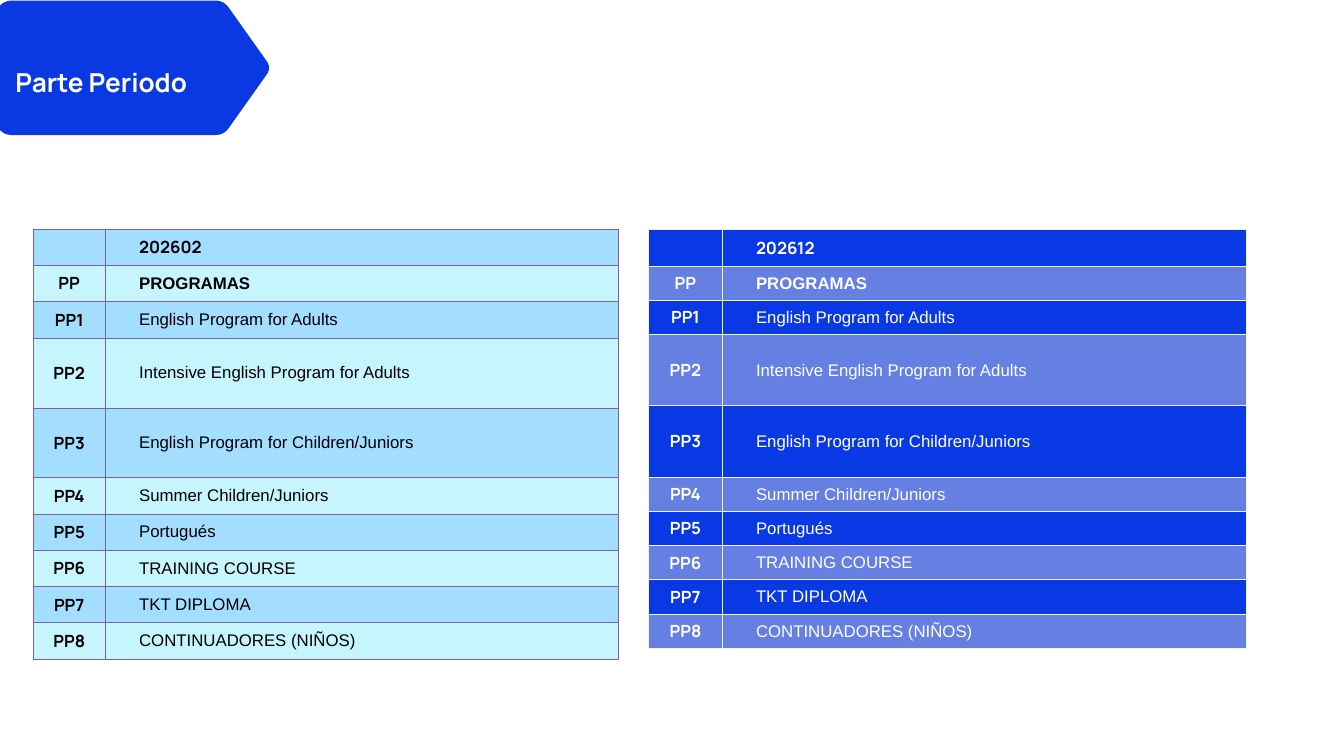
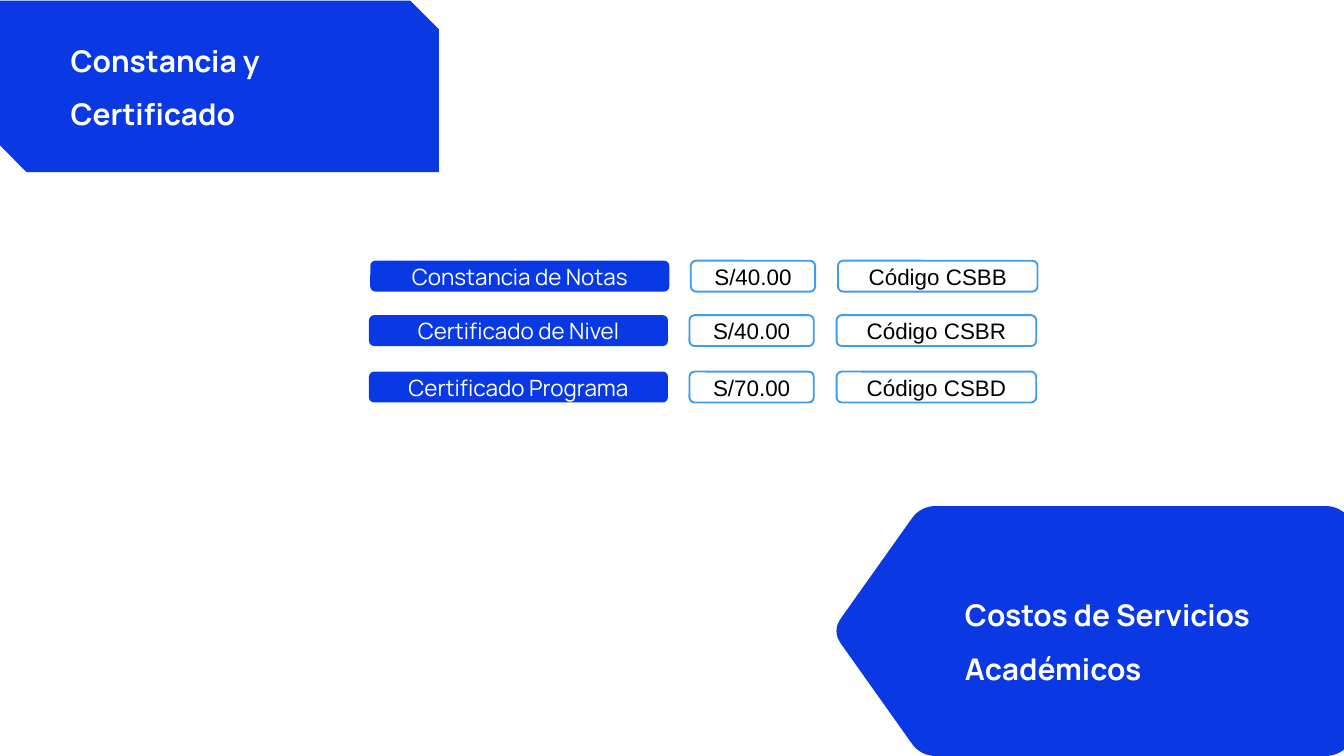
import lxml.etree
import pptx
import pptx.dml.color
import pptx.enum.shapes
import pptx.enum.text
import pptx.oxml.ns
import pptx.util

Inches = pptx.util.Inches
Pt = pptx.util.Pt
Shape = pptx.enum.shapes.MSO_SHAPE
Align = pptx.enum.text.PP_ALIGN
Anchor = pptx.enum.text.MSO_ANCHOR
qn = pptx.oxml.ns.qn

BAND = "0A39E4"
BLUE = "0939E4"
SOFT = "657FE2"
SKY = "A3DDFF"
AQUA = "C7F5FD"
EDGE = "3F9BEB"
WHITE = "FFFFFF"
BLACK = "000000"
HEAD = "Manrope"
BODY = "Arial"

COURSES = [
    "English Program for Adults",
    "Intensive English Program for Adults",
    "English Program for Children/Juniors",
    "Summer Children/Juniors",
    "Portugués",
    "TRAINING COURSE",
    "TKT DIPLOMA",
    "CONTINUADORES (NIÑOS)",
]
COSTS = [
    (5.51, 3.88, "Constancia de Notas", "S/40.00", "Código CSBB"),
    (5.49, 4.69, "Certificado de Nivel", "S/40.00", "Código CSBR"),
    (5.49, 5.53, "Certificado Programa", "S/70.00", "Código CSBD"),
]


def color(code):
    return pptx.dml.color.RGBColor.from_string(code)


def bend(a, b, c, cut, steps=8):
    """Points of a curve that rounds corner b between neighbours a and c."""
    def toward(end):
        dx, dy = end[0] - b[0], end[1] - b[1]
        part = cut / (dx * dx + dy * dy) ** 0.5
        return b[0] + dx * part, b[1] + dy * part

    start, stop = toward(a), toward(c)
    for n in range(steps + 1):
        t = n / steps
        yield tuple((1 - t) ** 2 * start[i] + 2 * t * (1 - t) * b[i]
                    + t * t * stop[i] for i in (0, 1))


class Deck:
    def __init__(self):
        self.file = pptx.Presentation()
        self.file.slide_width = Inches(20)
        self.file.slide_height = Inches(11.25)
        self.slide = None

    def add(self):
        self.slide = self.file.slides.add_slide(self.file.slide_layouts[5])

    def put(self, para, text, size, font, ink, bold=False):
        """Add one formatted run to a paragraph."""
        run = para.add_run()
        run.text = text
        run.font.size = Pt(size)
        run.font.name = font
        run.font.bold = bold
        run.font.color.rgb = color(ink)

    def paint(self, shape, fill, line=None):
        shape.shadow.inherit = False
        shape.fill.solid()
        shape.fill.fore_color.rgb = color(fill)
        if line:
            shape.line.color.rgb = color(line)
            shape.line.width = Pt(2)
        else:
            shape.line.fill.background()

    def label(self, box, text, size, area):
        """Set a heading in white on a band."""
        box.left, box.top, box.width, box.height = map(Inches, area)
        frame = box.text_frame
        frame.word_wrap = True
        frame.auto_size = pptx.enum.text.MSO_AUTO_SIZE.NONE
        frame.vertical_anchor = Anchor.TOP
        frame.margin_left = frame.margin_right = 0
        frame.margin_top = frame.margin_bottom = 0
        para = frame.paragraphs[0]
        para.alignment = Align.LEFT
        para.line_spacing = Pt(57.2)
        para.space_before = Pt(0)
        self.put(para, text, size, HEAD, WHITE, True)

    def title(self, text, size, area):
        box = self.slide.shapes.title
        box.element.getparent().append(box.element)
        self.label(box, text, size, area)

    def note(self, text, size, area):
        box = self.slide.shapes.add_textbox(*map(Inches, area))
        self.label(box, text, size, area)

    def hexagon(self, left, right, top, base):
        """Draw a wide hexagon with rounded corners."""
        half = (base - top) / 2
        inset = 0.71 * half
        mid = top + half
        tips = [(left, mid), (left + inset, top), (right - inset, top),
                (right, mid), (right - inset, base), (left + inset, base)]
        dots = []
        for n, tip in enumerate(tips):
            dots += bend(tips[n - 1], tip, tips[(n + 1) % 6], 0.125 * half)
        dots = [(Inches(x), Inches(y)) for x, y in dots]
        outline = self.slide.shapes.build_freeform(*dots[0])
        outline.add_line_segments(dots[1:], close=True)
        self.paint(outline.convert_to_shape(), BAND)

    def snip(self, *area):
        """Draw a band with two corners cut off."""
        shape = self.slide.shapes.add_shape(
            Shape.SNIP_2_DIAG_RECTANGLE, *map(Inches, area))
        self.paint(shape, BAND)

    def pill(self, text, area, font, ink, fill, line=None):
        shape = self.slide.shapes.add_shape(
            Shape.ROUNDED_RECTANGLE, *map(Inches, area))
        self.paint(shape, fill, line)
        shape.text_frame.vertical_anchor = Anchor.MIDDLE
        para = shape.text_frame.paragraphs[0]
        para.alignment = Align.CENTER
        self.put(para, text, 24, font, ink)

    def border(self, cell, code, width):
        props = cell._tc.get_or_add_tcPr()
        for side in ("a:lnL", "a:lnR", "a:lnT", "a:lnB"):
            line = lxml.etree.SubElement(props, qn(side), w=str(Pt(width)))
            fill = lxml.etree.SubElement(line, qn("a:solidFill"))
            lxml.etree.SubElement(fill, qn("a:srgbClr"), val=code)

    def table(self, left, top, cols, rows, term, fills, ink, edge):
        """List the programmes of one term, with fills in turn."""
        data = [("", term), ("PP", "PROGRAMAS")]
        data += [(f"PP{n}", name) for n, name in enumerate(COURSES, 1)]
        grid = self.slide.shapes.add_table(
            len(data), 2, Inches(left), Inches(top),
            Inches(sum(cols)), Inches(sum(rows))).table
        grid.first_row = grid.horz_banding = False
        for n, width in enumerate(cols):
            grid.columns[n].width = Inches(width)
        for r, pair in enumerate(data):
            grid.rows[r].height = Inches(rows[r])
            for c, text in enumerate(pair):
                cell = grid.cell(r, c)
                cell.margin_left = cell.margin_right = 0
                cell.margin_top = cell.margin_bottom = 0
                cell.vertical_anchor = Anchor.MIDDLE
                self.border(cell, *edge)
                cell.fill.solid()
                cell.fill.fore_color.rgb = color(fills[r % 2])
                if not text:
                    continue
                para = cell.text_frame.paragraphs[0]
                if c == 0:
                    para.alignment = Align.CENTER
                else:
                    para.level = 1
                    props = para._p.get_or_add_pPr()
                    props.set("marL", str(Inches(0.5)))
                    props.set("indent", "0")
                font = HEAD if c == 0 or r == 0 else BODY
                self.put(para, text, 18, font, ink, c == 0 or r < 2)


def terms(deck):
    deck.add()
    deck.hexagon(-0.66, 4.04, 0.01, 2.01)
    deck.title("Parte Periodo", 28, (0.23, 0.66, 3.42, 0.71))
    deck.table(0.49, 3.41, (1.08, 7.63),
               [0.54] * 3 + [1.04] * 2 + [0.54] * 5,
               "202602", (SKY, AQUA), BLACK, ("7D60A0", 0.75))
    deck.table(9.65, 3.42, (1.1, 7.8),
               [0.54] + [0.51] * 2 + [1.06] * 2 + [0.51] * 5,
               "202612", (BLUE, SOFT), WHITE, ("F2F2F2", 1))


def costs(deck):
    deck.add()
    deck.snip(-0.03, 0.01, 6.56, 2.55)
    deck.hexagon(12.38, 21.27, 7.53, 11.25)
    deck.note("Costos de Servicios Académicos", 32, (14.36, 8.62, 5.99, 1.52))
    for left, top, name, price, code in COSTS:
        deck.pill(name, (left, top, 4.45, 0.46), HEAD, WHITE, BLUE)
        for text, shift, width in ((price, 4.77, 1.85), (code, 6.96, 2.97)):
            deck.pill(text, (left + shift, top, width, 0.46),
                      BODY, BLACK, WHITE, EDGE)
    deck.title("Constancia y Certificado", 32, (1.05, 0.37, 5.02, 1.52))


def main():
    deck = Deck()
    terms(deck)
    costs(deck)
    deck.file.save("out.pptx")


if __name__ == "__main__":
    main()
